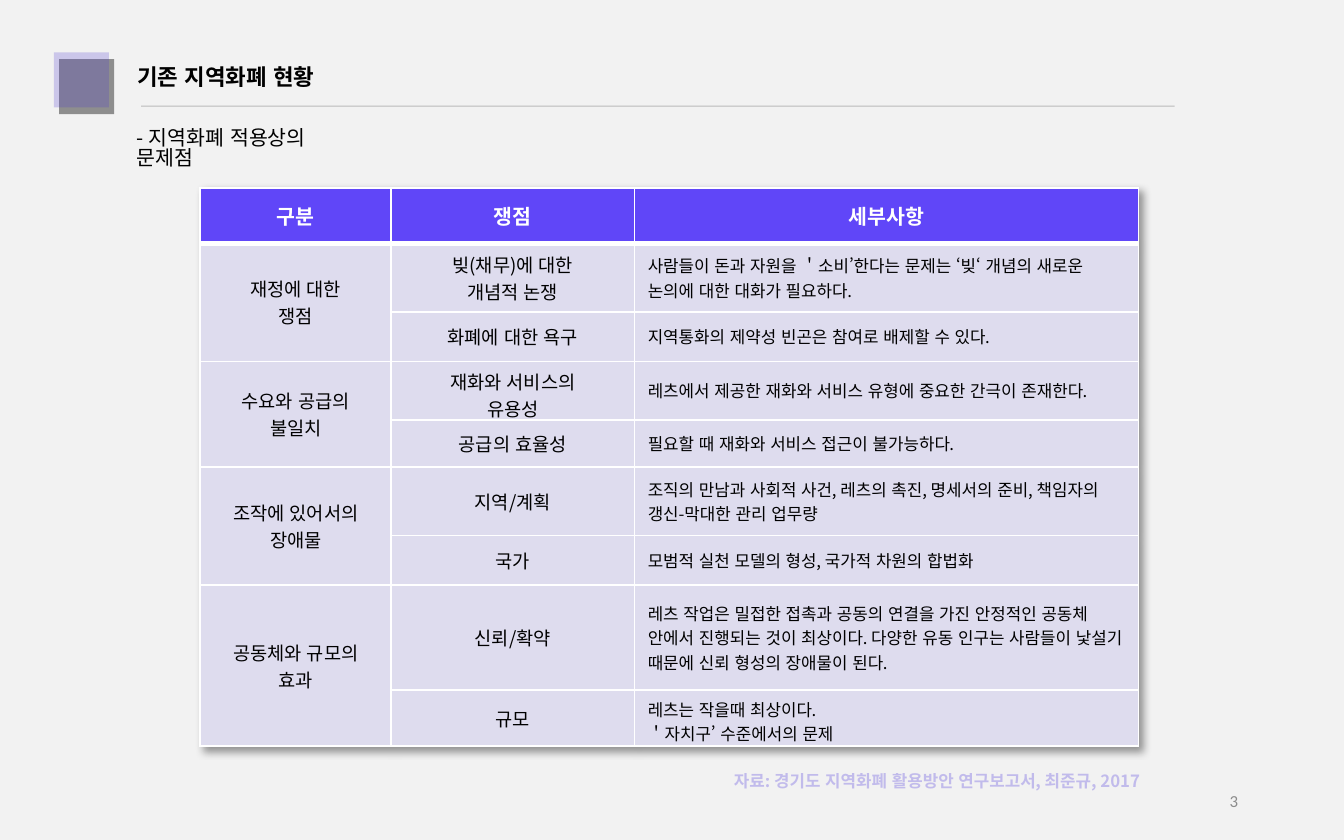
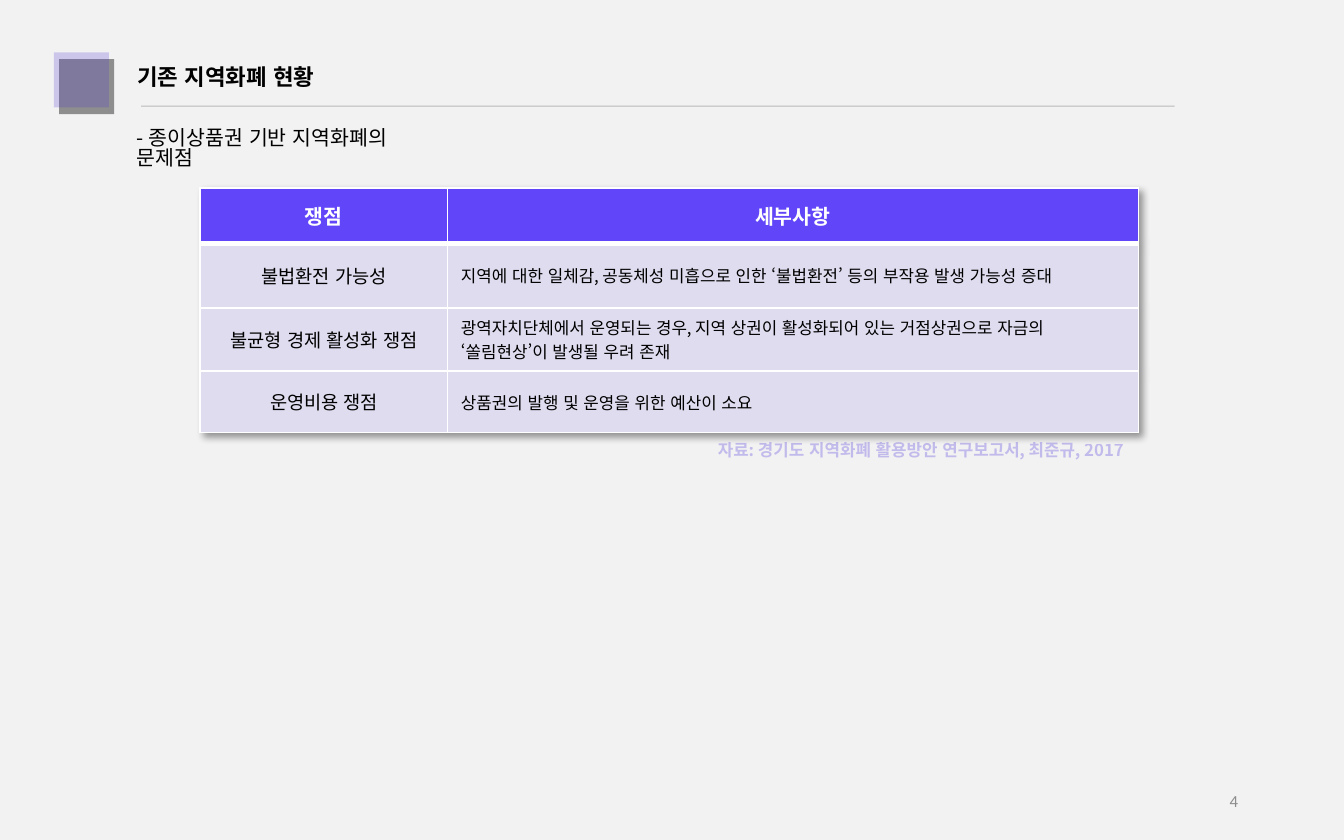
from dataclasses import dataclass

from lxml import etree
from pptx import Presentation
from pptx import util as u
from pptx.dml.color import RGBColor
from pptx.enum import lang, shapes, text
from pptx.oxml.ns import qn

LEFT, CENTER, RIGHT = text.PP_ALIGN.LEFT, text.PP_ALIGN.CENTER, text.PP_ALIGN.RIGHT
TOP, MIDDLE = text.MSO_ANCHOR.TOP, text.MSO_ANCHOR.MIDDLE


@dataclass(frozen=True)
class Theme:
    """Colours, fonts and type sizes shared by the slides."""
    width: float = 10
    height: float = 6.25
    korean: str = "Noto Sans CJK KR"
    latin: str = "Calibri"
    paper: str = "F2F2F2"
    ink: str = "000000"
    white: str = "FFFFFF"
    rule: str = "0D0D0D"
    mark: str = "4A36D0"
    source: str = "533CDE"
    number: str = "8C8C8C"
    header: str = "6046F8"
    body: str = "DEDCEE"
    title_size: int = 12
    heading_size: int = 11
    label_size: int = 10
    small_size: int = 9
    tight: float = 0.83


THEME = Theme()
TITLE = "기존 지역화폐 현황"
SOURCE = "자료: 경기도 지역화폐 활용방안 연구보고서, 최준규, 2017"
TABLE_LEFT, TABLE_TOP = 14.9, 22.4

APPLICATION_ISSUES = [
    ("구분", "쟁점", "세부사항"),
    ("재정에 대한\n쟁점", "빚(채무)에 대한\n개념적 논쟁",
     "사람들이 돈과 자원을 ＇소비’한다는 문제는 ‘빚‘ 개념의 새로운 논의에 대한 대화가 필요하다."),
    ("", "화폐에 대한 욕구", "지역통화의 제약성 빈곤은 참여로 배제할 수 있다."),
    ("수요와 공급의\n불일치", "재화와 서비스의\n유용성",
     "레츠에서 제공한 재화와 서비스 유형에 중요한 간극이 존재한다."),
    ("", "공급의 효율성", "필요할 때 재화와 서비스 접근이 불가능하다."),
    ("조작에 있어서의\n장애물", "지역/계획",
     "조직의 만남과 사회적 사건, 레츠의 촉진, 명세서의 준비, 책임자의 갱신-막대한 관리 업무량"),
    ("", "국가", "모범적 실천 모델의 형성, 국가적 차원의 합법화"),
    ("공동체와 규모의\n효과", "신뢰/확약",
     "레츠 작업은 밀접한 접촉과 공동의 연결을 가진 안정적인 공동체 안에서 진행되는 것이 최상이다. "
     "다양한 유동 인구는 사람들이 낯설기 때문에 신뢰 형성의 장애물이 된다."),
    ("", "규모", "레츠는 작을때 최상이다.\n＇자치구’ 수준에서의 문제"),
]
VOUCHER_ISSUES = [
    ("쟁점", "세부사항"),
    ("불법환전 가능성",
     "지역에 대한 일체감, 공동체성 미흡으로 인한 ‘불법환전’ 등의 부작용 발생 가능성 증대"),
    ("불균형 경제 활성화 쟁점",
     "광역자치단체에서 운영되는 경우, 지역 상권이 활성화되어 있는 거점상권으로 자금의 "
     "‘쏠림현상’이 발생될 우려 존재"),
    ("운영비용 쟁점", "상품권의 발행 및 운영을 위한 예산이 소요"),
]


def across(percent):
    """Turn a percentage of the slide width into a length."""
    return u.Inches(THEME.width * percent / 100)


def down(percent):
    """Turn a percentage of the slide height into a length."""
    return u.Inches(THEME.height * percent / 100)


def place(left, top, width, height):
    """Turn four percentages into a position and a size."""
    return across(left), down(top), across(width), down(height)


def apply(target, formats):
    """Set every attribute listed in formats."""
    for attribute, value in formats.items():
        setattr(target, attribute, value)


def fade(shape, percent):
    """Give the colours of a shape an opacity."""
    for color in shape.element.iter(qn("a:srgbClr")):
        etree.SubElement(color, qn("a:alpha"), val=str(percent * 1000))


def write(frame, words, size, color, align=LEFT, bold=False, font=THEME.korean, spacing=1.0):
    """Fill a text frame with uniformly formatted paragraphs."""
    frame.text = words
    for paragraph in frame.paragraphs:
        apply(paragraph, {"alignment": align, "line_spacing": spacing})
        for run in paragraph.runs:
            apply(run.font, {"size": u.Pt(size), "bold": bold, "name": font,
                             "language_id": lang.MSO_LANGUAGE_ID.KOREAN})
            run.font.color.rgb = RGBColor.from_string(color)
            etree.SubElement(run._r.get_or_add_rPr(), qn("a:ea"), typeface=font)


def add_label(slide, bounds, words, size, color, anchor=TOP, **style):
    """Add a wrapping text box."""
    label = slide.shapes.add_textbox(*place(*bounds))
    apply(label.text_frame, {"word_wrap": True, "vertical_anchor": anchor})
    write(label.text_frame, words, size, color, **style)
    return label


def add_square(slide, left, top, color, opacity):
    """Add one translucent square of the title mark."""
    square = slide.shapes.add_shape(shapes.MSO_SHAPE.RECTANGLE, *place(left, top, 4.1, 6.56))
    square.shadow.inherit = False
    square.fill.solid()
    square.fill.fore_color.rgb = RGBColor.from_string(color)
    square.line.fill.background()
    fade(square, opacity)


def add_title_rule(slide):
    """Draw the thin line under the title."""
    y = down(12.64)
    rule = slide.shapes.add_connector(
        shapes.MSO_CONNECTOR.STRAIGHT, across(10.5), y, across(87.4), y)
    rule.line.width = u.Pt(0.5)
    rule.line.color.rgb = RGBColor.from_string(THEME.rule)
    etree.SubElement(rule.element.spPr, qn("a:effectLst"))
    fade(rule, 23)


def set_title(slide):
    """Move and format the title placeholder."""
    title = slide.shapes.title
    left, top, width, height = place(9.2, 7.2, 30.2, 4.8)
    apply(title, {"left": left, "top": top, "width": width, "height": height})
    apply(title.text_frame, {"vertical_anchor": TOP, "word_wrap": True,
                             "auto_size": text.MSO_AUTO_SIZE.NONE})
    write(title.text_frame, TITLE, THEME.title_size, THEME.ink, bold=True, spacing=THEME.tight)


def set_borders(cell, bottom):
    """Draw white borders round a cell, with its own bottom width."""
    properties = cell._tc.get_or_add_tcPr()
    widths = {"lnL": 1, "lnR": 1, "lnT": 1, "lnB": bottom}
    for position, (side, points) in enumerate(widths.items()):
        border = etree.Element(qn(f"a:{side}"), w=str(u.Pt(points)))
        fill = etree.SubElement(border, qn("a:solidFill"))
        etree.SubElement(fill, qn("a:srgbClr"), val=THEME.white)
        properties.insert(position, border)


def add_table_shadow(table):
    """Cast a soft shadow to the lower right of a table."""
    effects = etree.Element(qn("a:effectLst"))
    shadow = etree.SubElement(effects, qn("a:outerShdw"), blurRad="50800", dist="38100",
                              dir="2700000", algn="tl", rotWithShape="0")
    color = etree.SubElement(shadow, qn("a:srgbClr"), val=THEME.ink)
    etree.SubElement(color, qn("a:alpha"), val="40000")
    table._tbl.tblPr.insert(0, effects)


def format_cell(cell, words, is_header, is_detail):
    """Fill and format one cell by its role."""
    cell.vertical_anchor = MIDDLE
    cell.fill.solid()
    cell.fill.fore_color.rgb = RGBColor.from_string(THEME.header if is_header else THEME.body)
    set_borders(cell, 3 if is_header else 1)
    if is_header:
        write(cell.text_frame, words, THEME.heading_size, THEME.white, CENTER, True)
    elif is_detail:
        write(cell.text_frame, words, THEME.small_size, THEME.ink)
    else:
        write(cell.text_frame, words, THEME.label_size, THEME.ink, CENTER)


def add_issue_table(slide, issues, columns, rows):
    """Add a table of issues, joining empty cells with the one above."""
    bounds = place(TABLE_LEFT, TABLE_TOP, sum(columns), sum(rows))
    table = slide.shapes.add_table(len(rows), len(columns), *bounds).table
    table.horz_banding = False
    for column, width in zip(table.columns, columns):
        column.width = across(width)
    for row, height in zip(table.rows, rows):
        row.height = down(height)
    for r, issue in enumerate(issues):
        for c, words in enumerate(issue):
            format_cell(table.cell(r, c), words, r == 0, c == len(columns) - 1)
            if not words:
                table.cell(r - 1, c).merge(table.cell(r, c))
    add_table_shadow(table)


def add_issue_slide(deck, number, subtitle, subtitle_width, source_at, issues, columns, rows):
    """Add one slide with title band, subtitle, table, source and number."""
    slide = deck.slides.add_slide(deck.slide_layouts[5])
    add_title_rule(slide)
    add_square(slide, 4.4, 7.04, THEME.ink, 41)
    add_square(slide, 4, 6.24, THEME.mark, 23)
    set_title(slide)
    source = add_label(slide, (*source_at, 36.9, 4), SOURCE, THEME.small_size, THEME.source,
                       align=RIGHT, bold=True, spacing=THEME.tight)
    fade(source, 30)
    add_label(slide, (9.2, 14.56, subtitle_width, 4.64), subtitle, THEME.heading_size,
              THEME.ink, spacing=THEME.tight)
    add_label(slide, (70.6, 92.64, 22.5, 5.28), str(number), THEME.small_size, THEME.number,
              MIDDLE, align=RIGHT, font=THEME.latin)
    add_issue_table(slide, issues, columns, rows)


def main():
    """Build and save the two slides."""
    deck = Presentation()
    apply(deck, {"slide_width": across(100), "slide_height": down(100)})
    backdrop = deck.slide_master.background.fill
    backdrop.solid()
    backdrop.fore_color.rgb = RGBColor.from_string(THEME.paper)
    add_issue_slide(deck, 3, "- 지역화폐 적용상의 문제점", 19.1, (48.9, 91.36),
                    APPLICATION_ISSUES, (14.2, 18.1, 37.5),
                    (6.56, 8.16, 5.92, 6.72, 5.6, 8.16, 5.92, 12.48, 6.72))
    add_issue_slide(deck, 4, "- 종이상품권 기반 지역화폐의 문제점", 25, (47.7, 52),
                    VOUCHER_ISSUES, (18.4, 51.4), (6.56, 7.68, 7.52, 7.36))
    deck.save("out.pptx")


if __name__ == "__main__":
    main()
